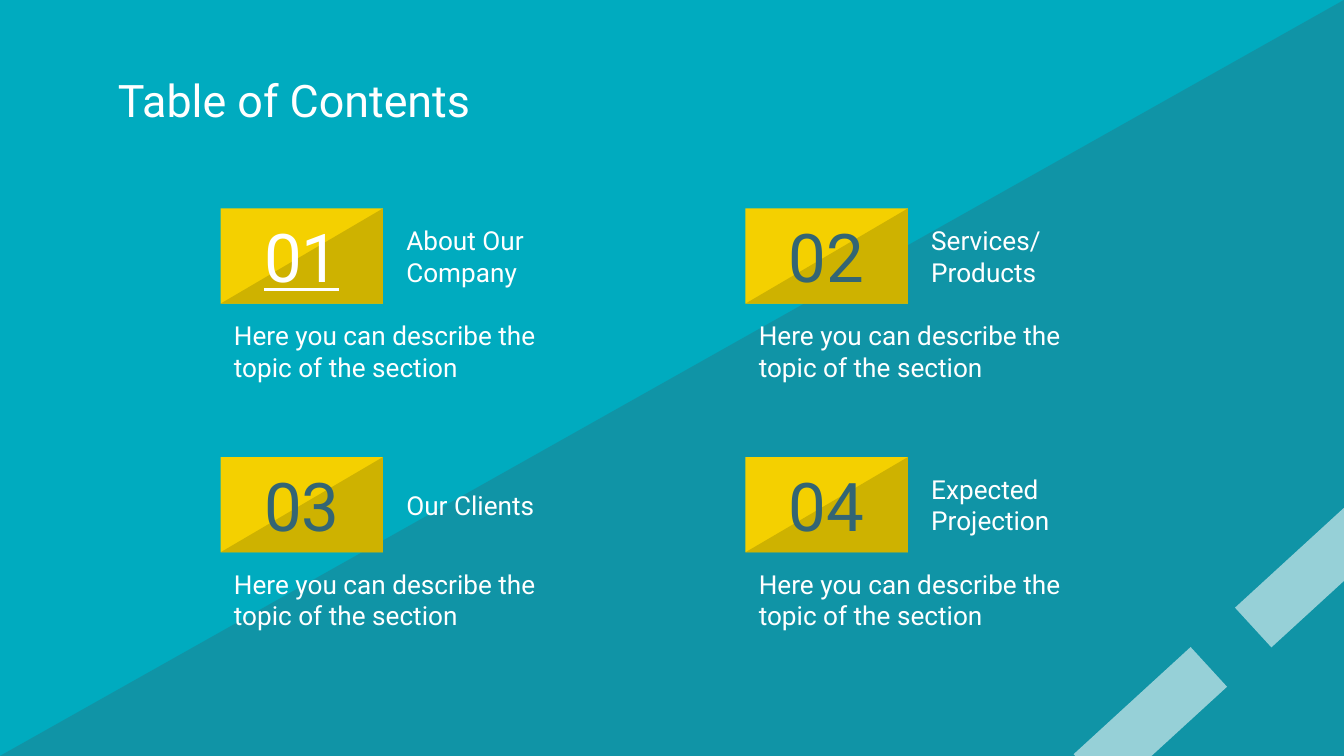
from lxml.etree import SubElement
from pptx import Presentation
from pptx.dml.color import RGBColor
from pptx.enum.shapes import MSO_SHAPE as Kind
from pptx.enum.text import MSO_ANCHOR as Anchor, MSO_AUTO_SIZE as Fit, PP_ALIGN as Align
from pptx.oxml.ns import qn
from pptx.util import Cm, Pt

WIDE, HIGH = 25.4, 14.29
LEFT, TOP = 4.17, 3.94
STEP_X, STEP_Y = 9.92, 4.7
TILE_W, TILE_H = 3.07, 1.8
WHITE, SLATE, GOLD, DARK = "FFFFFF", "336574", "F4D000", "CEB200"
TOPICS = ["About Our Company", "Services/Products", "Our Clients", "Expected Projection"]
DETAIL = "Here you can describe the topic of the section"


def paint(fill, color, alpha=None):
    fill.solid()
    fill.fore_color.rgb = RGBColor.from_string(color)
    if alpha is not None:
        tint = fill._xPr.find(qn("a:solidFill"))[0]
        SubElement(tint, qn("a:alpha"), val=str(alpha * 1000))


def draw(slide, kind, box, color, alpha=None, turn=0):
    shape = slide.shapes.add_shape(kind, *map(Cm, box))
    shape.shadow.inherit = False
    shape.line.fill.background()
    paint(shape.fill, color, alpha)
    shape.rotation = turn
    return shape


def wedge(slide, box, color, alpha=None):
    shape = draw(slide, Kind.RIGHT_TRIANGLE, box, color, alpha)
    shape._element.spPr.xfrm.set("flipH", "1")


def place(holder, box):
    holder.left, holder.top, holder.width, holder.height = map(Cm, box)
    holder._element.getparent().append(holder._element)
    return holder


def write(shape, text, size=14, color=WHITE, anchor=Anchor.MIDDLE, align=Align.LEFT, under=False):
    frame = shape.text_frame
    frame.word_wrap = True
    frame.auto_size = Fit.NONE
    frame.vertical_anchor = anchor
    frame.margin_left = frame.margin_right = Cm(0.25)
    frame.margin_top = frame.margin_bottom = Cm(0.25)
    para = frame.paragraphs[0]
    para.alignment = align
    para.space_before = Pt(0)
    props = para._p.get_or_add_pPr()
    props.set("marL", "0")
    props.set("indent", "0")
    SubElement(props, qn("a:buNone"))
    run = para.add_run()
    run.text = text
    font = run.font
    font.name, font.size, font.bold = "Roboto", Pt(size), False
    font.underline = under
    font.color.rgb = RGBColor.from_string(color)


def section(slide, num, topic, body):
    row, col = divmod(num, 2)
    x, y = LEFT + col * STEP_X, TOP + row * STEP_Y
    tile = (x, y, TILE_W, TILE_H)
    first = num == 0
    badge = draw(slide, Kind.RECTANGLE, tile, GOLD)
    wedge(slide, tile, DARK)
    badge = slide.shapes.add_textbox(*map(Cm, tile))
    write(badge, f"{num + 1:02}", 36, WHITE if first else SLATE, align=Align.CENTER, under=first)
    label = slide.shapes.add_textbox(*map(Cm, (x + 3.26, y, 3.94, TILE_H)))
    write(label, topic)
    write(place(body, (x, y + 1.85, 7.19, 1.78)), DETAIL, anchor=Anchor.TOP)


def main():
    deck = Presentation()
    deck.slide_width, deck.slide_height = Cm(WIDE), Cm(HIGH)
    slide = deck.slides.add_slide(deck.slide_layouts.get_by_name("Comparison"))
    title, *bodies = slide.placeholders
    paint(slide.background.fill, "00ABBF")
    wedge(slide, (0, 0, WIDE, HIGH), SLATE, 32)
    for x, y in [(20.24, 13.11), (23.29, 10.34)]:
        draw(slide, Kind.RECTANGLE, (x, y, 3, 1.02), WHITE, 56, 317.5)
    write(place(title, (1.98, 1.09, 21.44, 1.6)), "Table of Contents", 24)
    for num, (topic, body) in enumerate(zip(TOPICS, bodies)):
        section(slide, num, topic, body)
    deck.save("out.pptx")


if __name__ == "__main__":
    main()
